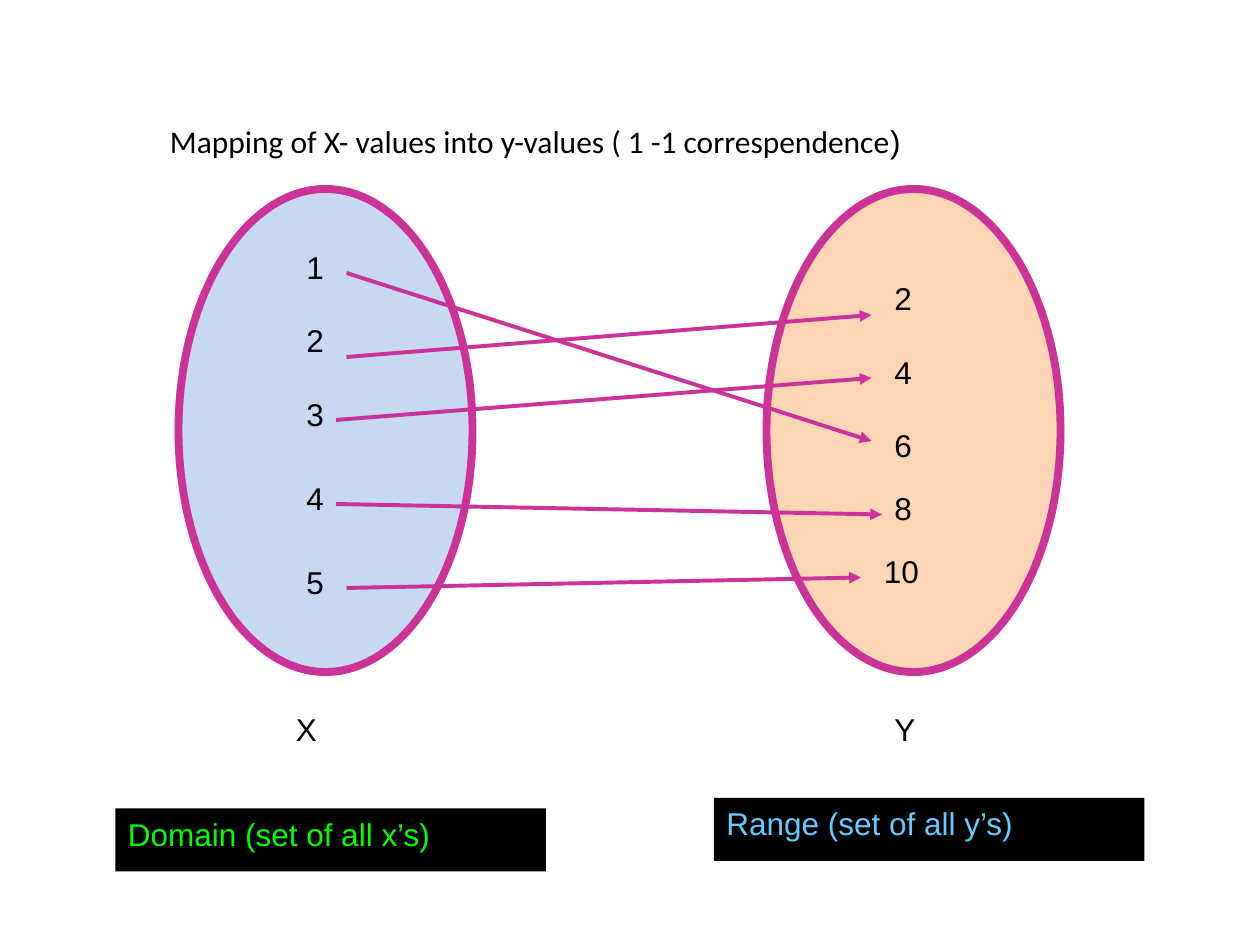
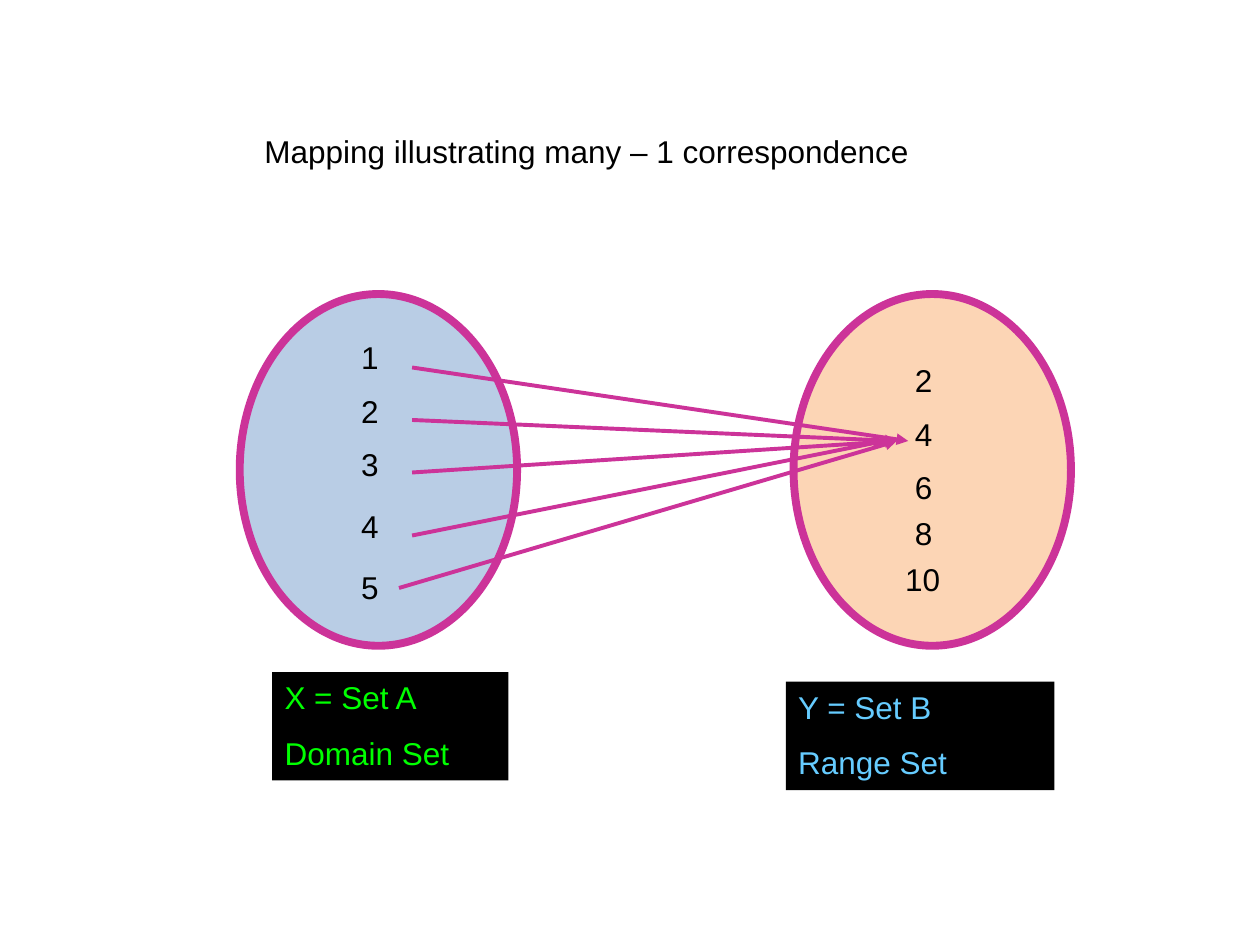
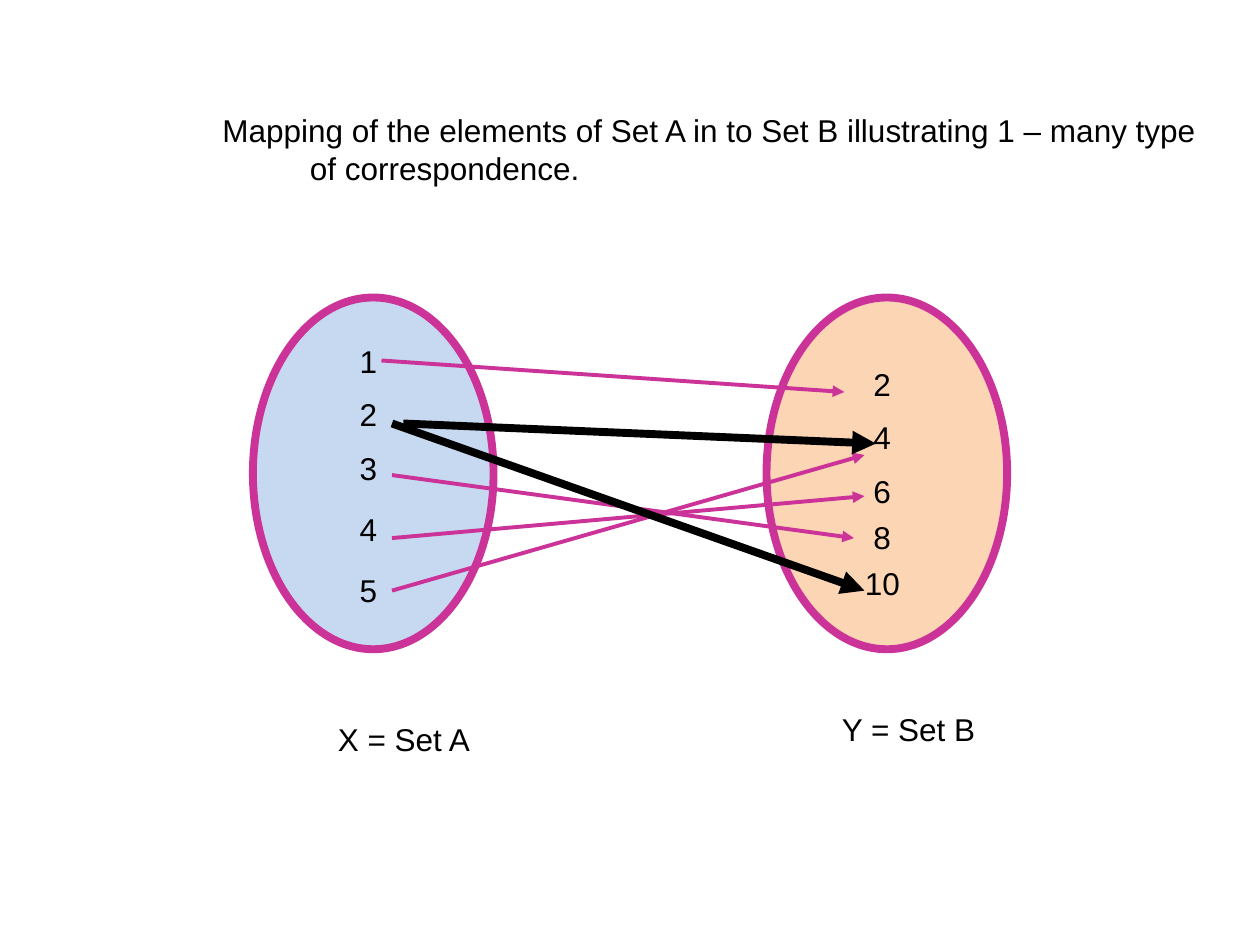
import pptx
import pptx.dml.color
import pptx.enum.shapes
import pptx.enum.text
import pptx.oxml
import pptx.oxml.ns
import pptx.util

Pt = pptx.util.Pt
SHAPES = pptx.enum.shapes.MSO_SHAPE

COLOURS = {
    "outline": "CC3399",
    "domain": "C6D9F1",
    "domain_dark": "B9CDE5",
    "range": "FCD5B5",
    "black": "000000",
    "domain_label": "00FF00",
    "range_label": "66CCFF",
}
FONT = {"name": "Arial", "size": Pt(18)}
FRAME_FORMAT = {
    "word_wrap": True,
    "auto_size": pptx.enum.text.MSO_AUTO_SIZE.NONE,
    "vertical_anchor": pptx.enum.text.MSO_ANCHOR.TOP,
}

# Each oval is divided into a grid that places its numbers
GRID_COLUMNS, GRID_ROWS = 28, 46
DOMAIN_ROWS = {"1": 5, "2": 12, "3": 19, "4": 27, "5": 35}
RANGE_ROWS = {"2": 8, "4": 15, "6": 22, "8": 28, "10": 34}
NUMBER_HEIGHT = 36


def colour(name):
    return pptx.dml.color.RGBColor.from_string(COLOURS[name])


def apply_format(target, values):
    for name, value in values.items():
        setattr(target, name, value)


def write_text(shape, paragraphs, text_colour="black", spacing=0, indent=0):
    """Write paragraphs of (text, font) runs; spacing and indent affect all but the first."""
    frame = shape.text_frame
    apply_format(frame, FRAME_FORMAT)
    for index, runs in enumerate(paragraphs):
        paragraph = frame.add_paragraph() if index else frame.paragraphs[0]
        paragraph.alignment = pptx.enum.text.PP_ALIGN.LEFT
        if index:
            paragraph.space_before = Pt(spacing)
            paragraph._p.get_or_add_pPr().set("marL", str(Pt(indent)))
        for text, font in runs:
            run = paragraph.add_run()
            run.text = text
            apply_format(run.font, {**FONT, "name": font})
            run.font.color.rgb = colour(text_colour)


def plain(*lines):
    return [[(line, FONT["name"])] for line in lines]


def add_text(slide, box, paragraphs, **options):
    shape = slide.shapes.add_textbox(*map(Pt, box))
    write_text(shape, paragraphs, **options)


def add_filled(slide, kind, box, fill):
    shape = slide.shapes.add_shape(kind, *map(Pt, box))
    shape.shadow.inherit = False
    shape.fill.solid()
    shape.fill.fore_color.rgb = colour(fill)
    return shape


def add_label(slide, box, lines, text_colour):
    shape = add_filled(slide, SHAPES.RECTANGLE, box, "black")
    shape.line.fill.background()
    write_text(shape, plain(*lines), text_colour=text_colour, spacing=10)


def add_set(slide, box, fill, rows):
    """Draw an oval with its numbers inside."""
    oval = add_filled(slide, SHAPES.OVAL, box, fill)
    oval.line.color.rgb = colour("outline")
    oval.line.width = Pt(4.5)
    left, top, width, height = box
    for number, row in rows.items():
        column, span = (11, 5) if len(number) == 1 else (10, 8)
        number_box = (
            left + width * column / GRID_COLUMNS,
            top + height * row / GRID_ROWS,
            width * span / GRID_COLUMNS,
            NUMBER_HEIGHT,
        )
        add_text(slide, number_box, plain(number))


def add_sets(slide, domain_left, range_left, top, width, height, domain_fill="domain"):
    add_set(slide, (domain_left, top, width, height), domain_fill, DOMAIN_ROWS)
    add_set(slide, (range_left, top, width, height), "range", RANGE_ROWS)


def add_arrows(slide, arrows, line_colour="outline", width=2.25):
    for ends in arrows:
        connector = slide.shapes.add_connector(
            pptx.enum.shapes.MSO_CONNECTOR.STRAIGHT, *map(Pt, ends))
        connector.line.color.rgb = colour(line_colour)
        connector.line.width = Pt(width)
        head = pptx.oxml.parse_xml(
            f'<a:tailEnd {pptx.oxml.ns.nsdecls("a")} type="triangle"/>')
        connector.line._get_or_add_ln().append(head)
        effects = pptx.oxml.parse_xml(f'<a:effectLst {pptx.oxml.ns.nsdecls("a")}/>')
        connector._element.spPr.append(effects)


def build_one_to_one(slide):
    add_sets(slide, 102, 438, top=108, width=168, height=276)
    add_label(slide, (66, 462, 246, 36), ["Domain (set of all x’s)"], "domain_label")
    add_label(slide, (408, 456, 246, 36), ["Range (set of all y’s)"], "range_label")
    add_arrows(slide, [
        (198, 156, 498, 252),
        (192, 240, 498, 216),
        (198, 204, 498, 180),
        (192, 288, 504, 294),
        (198, 336, 492, 330),
    ])
    title = [("Mapping of X- values into y-values ( 1 -1 correspendence", "Calibri"),
             (")", "Arial")]
    add_text(slide, (90, 66, 438.5, 29), [title])
    for left, name in ((162, "X"), (504, "Y")):
        add_text(slide, (left, 402, 27, 29), plain(name))


def build_many_to_one(slide):
    add_sets(slide, 137, 453.5, top=168, width=158.5, height=201,
             domain_fill="domain_dark")
    add_label(slide, (155.5, 384, 135, 62), ["X = Set A", "Domain Set"], "domain_label")
    add_label(slide, (449, 389.5, 153.5, 62), ["Y = Set B", "Range Set"], "range_label")
    # All arrows meet at the height of the number 4
    starts_and_tips = [(235.5, 210, 519), (235.5, 306, 505.5), (235.5, 240, 512.5),
                       (228, 336, 512.5), (235.5, 270, 512.5)]
    add_arrows(slide, [(x, y, tip, 252) for x, y, tip in starts_and_tips])
    add_text(slide, (144, 72, 387, 29),
             plain("Mapping illustrating many – 1 correspondence"))


def build_one_to_many(slide):
    add_sets(slide, 144.5, 438, top=170, width=137.5, height=201)
    add_arrows(slide, [
        (218, 206, 482.5, 224),
        (224, 271.5, 488, 307.5),
        (224, 307.5, 494, 283.5),
        (224, 337.5, 494, 260),
    ])
    # The element with two images stands out
    add_arrows(slide, [(230.5, 242, 500.5, 253.5), (224, 242, 494, 337.5)],
               line_colour="black", width=4.5)
    add_text(slide, (120, 60, 576, 51),
             plain("Mapping of the elements of Set A in to Set B illustrating 1 – many type",
                   "of correspondence."),
             indent=50)
    add_text(slide, (186, 408, 92, 29), plain("X = Set A"))
    add_text(slide, (474, 402, 92, 29), plain("Y = Set B"))


def main():
    presentation = pptx.Presentation()
    presentation.slide_width, presentation.slide_height = Pt(720), Pt(540)
    blank_layout = presentation.slide_layouts[6]
    for build in (build_one_to_one, build_many_to_one, build_one_to_many):
        build(presentation.slides.add_slide(blank_layout))
    presentation.save("out.pptx")


if __name__ == "__main__":
    main()
